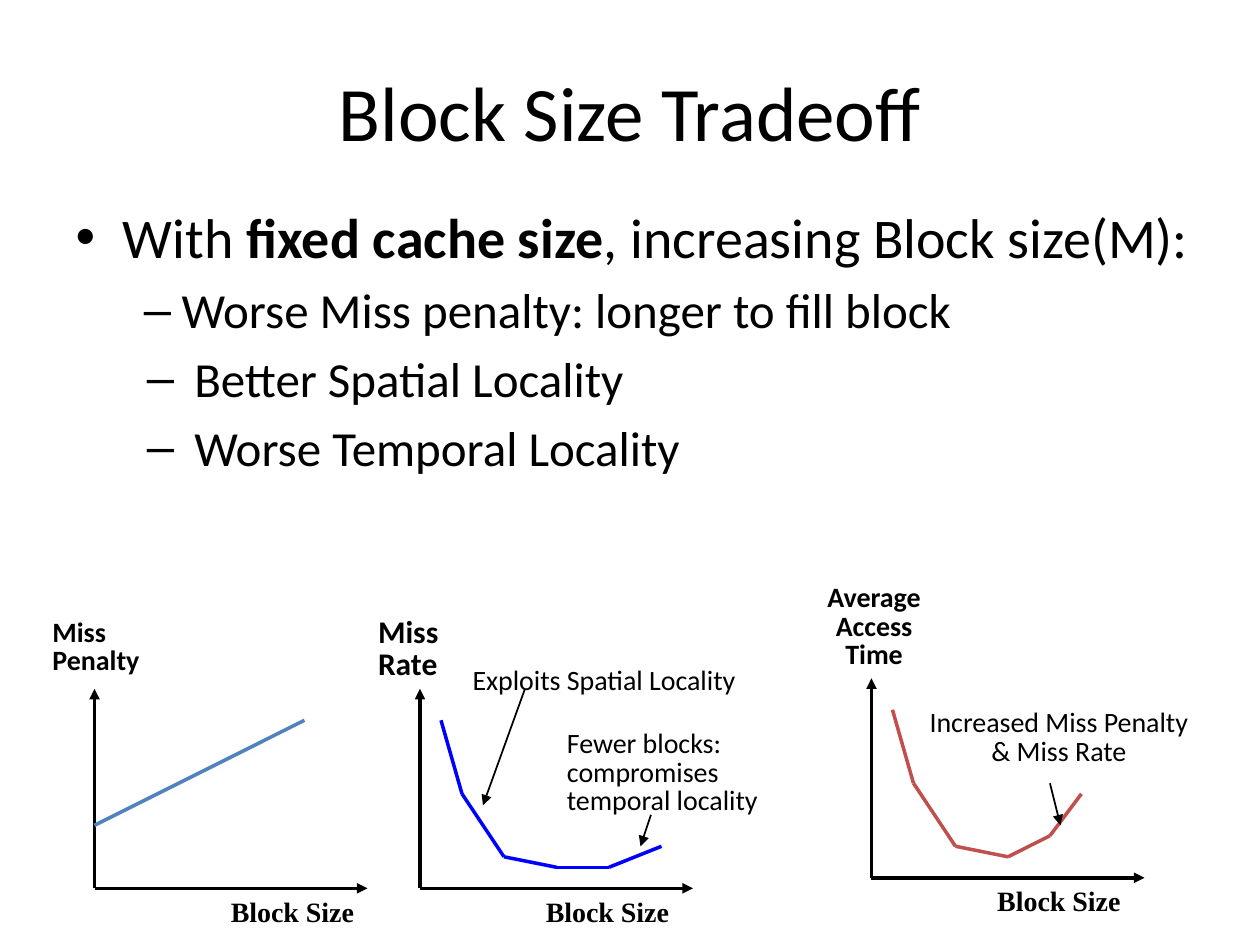
from dataclasses import dataclass

from lxml.etree import SubElement
from pptx import Presentation
from pptx.dml.color import RGBColor
from pptx.enum.shapes import MSO_CONNECTOR
from pptx.enum.text import MSO_ANCHOR, MSO_AUTO_SIZE, PP_ALIGN
from pptx.oxml.ns import qn
from pptx.util import Emu, Pt

PX = 7620  # 120 px to the inch
BLACK = RGBColor(0x00, 0x00, 0x00)
STEEL = RGBColor(0x4F, 0x81, 0xBD)
BLUE = RGBColor(0x00, 0x00, 0xFF)
RED = RGBColor(0xC0, 0x50, 0x4D)
SANS, SERIF = "Calibri", "Times New Roman"
AXIS_WIDTH, AXIS_HEIGHT = 260, 190

Point = tuple[int, int]
Box = tuple[int, int, int, int]


@dataclass
class Label:
    lines: list[str]
    box: Box
    size: int = 16
    bold: bool = False
    align: PP_ALIGN = PP_ALIGN.LEFT
    font: str = SANS
    spacing: float = 0.85
    inset: Point = (8, 4)


@dataclass
class Graph:
    origin: Point
    y_label: Label
    x_label_offset: int
    curve: list[Point]  # offsets from the origin
    color: RGBColor


@dataclass
class Bullet:
    runs: list[tuple[str, bool]]
    level: int
    size: int
    mark: str
    margin: int
    hanging: int


@dataclass
class Note:
    label: Label
    start: Point
    end: Point


CENTER = PP_ALIGN.CENTER
SHARED_CURVE = [(20, -160), (40, -90), (80, -30), (130, -20)]

BULLETS = [
    Bullet([("With ", False), ("fixed cache size", True),
            (", increasing Block size(M):", False)], 0, 32, "•", 45, 45),
    Bullet([("Worse Miss penalty: longer to fill block", False)], 1, 28, "–", 101, 36),
    Bullet([("Better Spatial Locality", False)], 1, 28, "–", 113, 45),
    Bullet([("Worse Temporal Locality", False)], 1, 28, "–", 113, 45),
]
GRAPHS = [
    Graph((90, 846), Label(["Miss", "Penalty"], (42, 586, 112, 61), bold=True),
          118, [(0, -60), (200, -160)], STEEL),
    Graph((400, 846), Label(["Miss", "Rate"], (352, 584, 83, 68), 18, True),
          108, SHARED_CURVE + [(180, -20), (230, -40)], BLUE),
    Graph((830, 836),
          Label(["Average", "Access", "Time"], (772, 553, 121, 89), bold=True, align=CENTER),
          108, SHARED_CURVE + [(170, -40), (200, -80)], RED),
]
NOTES = [
    Note(Label(["Exploits Spatial Locality"], (442, 632, 296, 34)), (500, 656), (460, 767)),
    Note(Label(["Fewer blocks:", "compromises", "temporal locality"], (532, 692, 209, 89)),
         (620, 776), (610, 806)),
    Note(Label(["Increased Miss Penalty", "& Miss Rate"], (862, 672, 293, 61), align=CENTER),
         (1000, 746), (1010, 786)),
]


def px(length: int) -> Emu:
    return Emu(length * PX)


def place(shape, box: Box) -> None:
    shape.left, shape.top, shape.width, shape.height = map(px, box)


def add_run(paragraph, text: str, size: int, bold: bool = False, font: str = SANS) -> None:
    run = paragraph.add_run()
    run.text = text
    run.font.name = font
    run.font.size = Pt(size)
    run.font.bold = bold
    run.font.color.rgb = BLACK


def add_line(slide, start: Point, end: Point, color: RGBColor = BLACK,
             width: int = 2, arrow: bool = False) -> None:
    connector = slide.shapes.add_connector(
        MSO_CONNECTOR.STRAIGHT, *map(px, start), *map(px, end))
    connector.line.color.rgb = color
    connector.line.width = Pt(width)
    if arrow:
        SubElement(connector.line._get_or_add_ln(), qn("a:tailEnd"), type="triangle")
    SubElement(connector._element.spPr, qn("a:effectLst"))


def add_label(slide, label: Label) -> None:
    frame = slide.shapes.add_textbox(*map(px, label.box)).text_frame
    frame.word_wrap = False
    frame.auto_size = MSO_AUTO_SIZE.SHAPE_TO_FIT_TEXT
    frame.margin_left = frame.margin_right = px(label.inset[0])
    frame.margin_top = frame.margin_bottom = px(label.inset[1])
    for index, line in enumerate(label.lines):
        paragraph = frame.add_paragraph() if index else frame.paragraphs[0]
        paragraph.alignment = label.align
        paragraph.line_spacing = label.spacing
        add_run(paragraph, line, label.size, label.bold, label.font)


def add_bullet(paragraph, bullet: Bullet) -> None:
    paragraph.level = bullet.level
    properties = paragraph._p.get_or_add_pPr()
    properties.set("marL", str(px(bullet.margin)))
    properties.set("indent", str(px(-bullet.hanging)))
    SubElement(properties, qn("a:buChar"), char=bullet.mark)
    for text, bold in bullet.runs:
        add_run(paragraph, text, bullet.size, bold)


def add_graph(slide, graph: Graph) -> None:
    x, y = graph.origin
    add_line(slide, (x, y), (x, y - AXIS_HEIGHT), arrow=True)
    add_line(slide, (x, y), (x + AXIS_WIDTH, y), arrow=True)
    add_label(slide, graph.y_label)
    add_label(slide, Label(["Block Size"], (x + graph.x_label_offset, y, 142, 43),
                           bold=True, font=SERIF, spacing=1.0, inset=(12, 6)))
    points = [(x + dx, y + dy) for dx, dy in graph.curve]
    for start, end in zip(points, points[1:]):
        add_line(slide, start, end, graph.color)


def main() -> None:
    presentation = Presentation()
    presentation.slide_width, presentation.slide_height = px(1200), px(900)
    slide = presentation.slides.add_slide(presentation.slide_layouts[1])

    # Title
    title = slide.shapes.title
    place(title, (60, 30, 1080, 150))
    title.text_frame.vertical_anchor = MSO_ANCHOR.MIDDLE
    title.text_frame.paragraphs[0].alignment = CENTER
    add_run(title.text_frame.paragraphs[0], "Block Size Tradeoff", 44)

    # Bullet list
    body = slide.placeholders[1]
    place(body, (60, 187, 1094, 334))
    frame = body.text_frame
    frame.auto_size = MSO_AUTO_SIZE.NONE
    for index, bullet in enumerate(BULLETS):
        paragraph = frame.add_paragraph() if index else frame.paragraphs[0]
        add_bullet(paragraph, bullet)
    frame.paragraphs[0].space_before = Pt(0)

    # Graphs and their annotations
    for graph in GRAPHS:
        add_graph(slide, graph)
    for note in NOTES:
        add_line(slide, note.start, note.end, width=1, arrow=True)
        add_label(slide, note.label)

    presentation.save("out.pptx")


if __name__ == "__main__":
    main()
